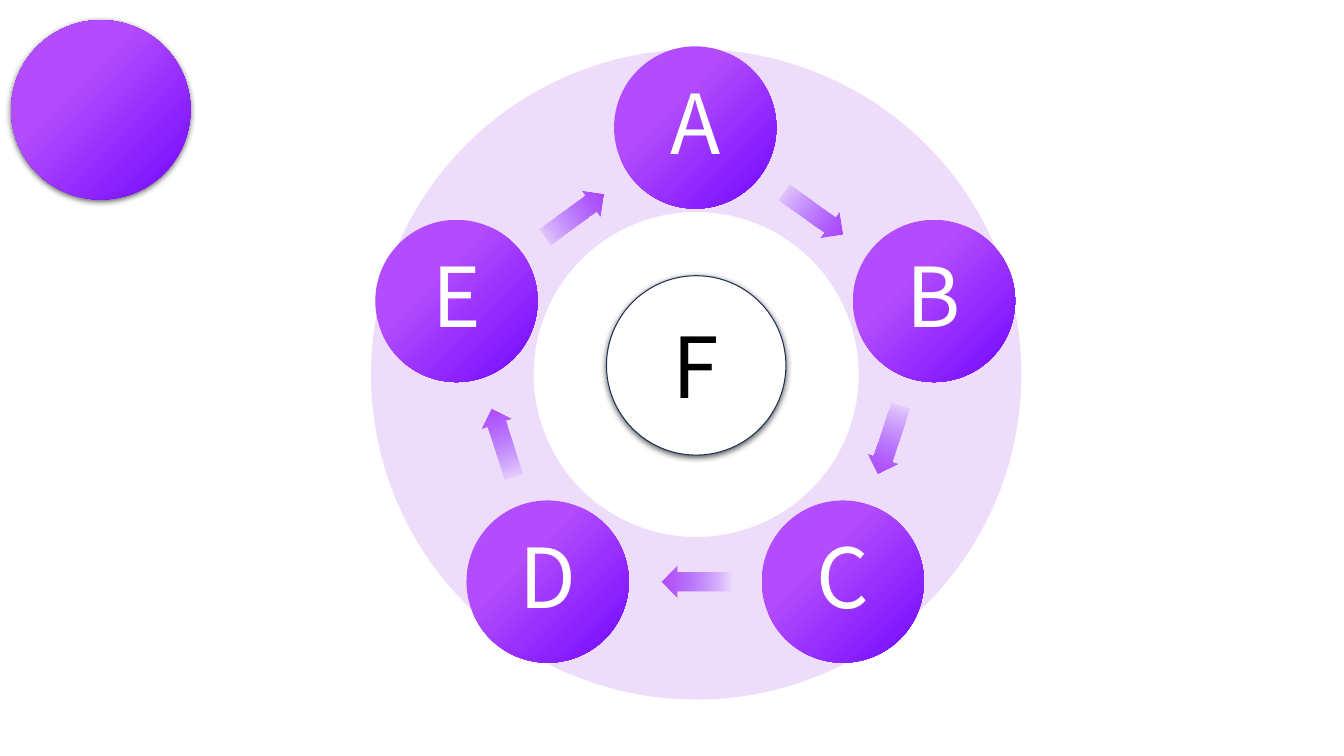
from math import cos, radians, sin

from lxml.etree import SubElement
from pptx import Presentation
from pptx.dml.color import RGBColor
from pptx.enum.shapes import MSO_SHAPE
from pptx.enum.text import MSO_ANCHOR, PP_ALIGN
from pptx.oxml.ns import qn
from pptx.util import Inches, Pt

VIOLET = RGBColor(0xB3, 0x4C, 0xFD)
INDIGO = RGBColor(0x70, 0x06, 0xFF)
LILAC = RGBColor(0xEE, 0xDC, 0xFB)
NAVY = RGBColor(0x1E, 0x32, 0x56)
WHITE = RGBColor(0xFF, 0xFF, 0xFF)
BLACK = RGBColor(0, 0, 0)
STEPS = "ABCDE"


def add_centred(shapes, kind, x, y, width, height):
    """Add a borderless shape centred on a point given in inches."""
    shape = shapes.add_shape(kind, Inches(x - width / 2), Inches(y - height / 2),
                             Inches(width), Inches(height))
    shape.shadow.inherit = False
    shape.line.fill.background()
    return shape


def fill_solid(shape, color):
    """Fill a shape with one colour."""
    shape.fill.solid()
    shape.fill.fore_color.rgb = color


def fill_gradient(shape, start, angle):
    """Fill a shape from violet to indigo and return the gradient element."""
    shape.fill.gradient()
    shape.fill.gradient_angle = angle
    for stop, color, position in zip(shape.fill.gradient_stops, (VIOLET, INDIGO), (start, 1)):
        stop.color.rgb = color
        stop.position = position
    return shape._element.spPr.find(qn("a:gradFill"))


def cast_shadow(shape):
    """Give a shape a soft shadow falling straight down."""
    effects = shape._element.spPr.find(qn("a:effectLst"))
    shadow = SubElement(effects, qn("a:outerShdw"), blurRad=str(Pt(4.5)),
                        dist=str(Pt(1.5)), dir="5400000", rotWithShape="0")
    shade = SubElement(shadow, qn("a:srgbClr"), val=str(BLACK))
    SubElement(shade, qn("a:alpha"), val="63000")


def write_letter(shape, letter, size, color, line_spacing, margin):
    """Write one large centred letter inside a shape."""
    frame = shape.text_frame
    frame_format = {"word_wrap": True, "vertical_anchor": MSO_ANCHOR.MIDDLE}
    frame_format.update({f"margin_{side}": margin[side] for side in margin})
    paragraph = frame.paragraphs[0]
    run = paragraph.add_run()
    run.text = letter
    formats = (
        (frame, frame_format),
        (paragraph, {"alignment": PP_ALIGN.CENTER, "line_spacing": line_spacing,
                     "space_after": Pt(0)}),
        (run.font, {"size": Pt(size), "name": "Noto Sans CJK SC"}),
    )
    for target, values in formats:
        for name, value in values.items():
            setattr(target, name, value)
    run.font.color.rgb = color
    spacing = paragraph._p.pPr.find(qn("a:spcAft"))
    spacing.remove(spacing[0])
    SubElement(spacing, qn("a:spcPct"), val="35000")


def draw_accent(slide, left, top, size):
    """Draw the loose disc in the corner of the slide."""
    accent = add_centred(slide.shapes, MSO_SHAPE.OVAL, left + size / 2, top + size / 2,
                         size, size)
    gradient = fill_gradient(accent, 0.35, 0)
    gradient.remove(gradient.find(qn("a:lin")))
    focus = SubElement(gradient, qn("a:path"), path="circle")
    SubElement(focus, qn("a:fillToRect"), r="100000", b="100000")
    SubElement(gradient, qn("a:tileRect"), l="-100000", t="-100000")
    cast_shadow(accent)


def draw_cycle(slide, left, top, size):
    """Draw the ring, the steps with their arrows, and the hub."""
    x, y = left + size / 2, top + size / 2
    ring = add_centred(slide.shapes, MSO_SHAPE.DONUT, x, y, size, size)
    fill_solid(ring, LILAC)
    draw_steps(slide.shapes.add_group_shape().shapes, x - 0.01, y + 0.04, 2.49)
    hub = add_centred(slide.shapes, MSO_SHAPE.OVAL, x, y - 0.09, 1.78, 1.78)
    fill_solid(hub, WHITE)
    hub.line.color.rgb = NAVY
    hub.line.width = Pt(0.75)
    cast_shadow(hub)
    write_letter(hub, "F", 60, BLACK, 1.0, {})


def draw_steps(shapes, x, y, radius):
    """Place the steps evenly round a centre with an arrow after each."""
    turn = 360 / len(STEPS)
    arrow_radius = radius * cos(radians(turn / 2))
    margin = dict.fromkeys(("left", "top", "right", "bottom"), Inches(0.08))
    for index, letter in enumerate(STEPS):
        angle = radians(index * turn)
        step = add_centred(shapes, MSO_SHAPE.OVAL, x + radius * sin(angle),
                           y - radius * cos(angle), 1.61, 1.61)
        fill_gradient(step, 0.35, 315)
        write_letter(step, letter, 59, WHITE, 0.9, margin)

        heading = (index + 0.5) * turn
        angle = radians(heading - 0.5)
        arrow = add_centred(shapes, MSO_SHAPE.RIGHT_ARROW, x + arrow_radius * sin(angle),
                            y - arrow_radius * cos(angle), 0.71, 0.32)
        arrow.rotation = heading
        arrow.adjustments[0], arrow.adjustments[1] = 0.6, 0.5
        gradient = fill_gradient(arrow, 0, 180)
        tail_color = gradient.findall(f".//{qn('a:srgbClr')}")[-1]
        SubElement(tail_color, qn("a:alpha"), val="0")


def main():
    """Build the slide and save it."""
    presentation = Presentation()
    presentation.slide_width = Inches(13.33)
    presentation.slide_height = Inches(7.5)
    slide = presentation.slides.add_slide(presentation.slide_layouts[6])
    draw_accent(slide, 0.11, 0.2, 1.78)
    draw_cycle(slide, 3.68, 0.49, 6.45)
    presentation.save("out.pptx")


if __name__ == "__main__":
    main()
